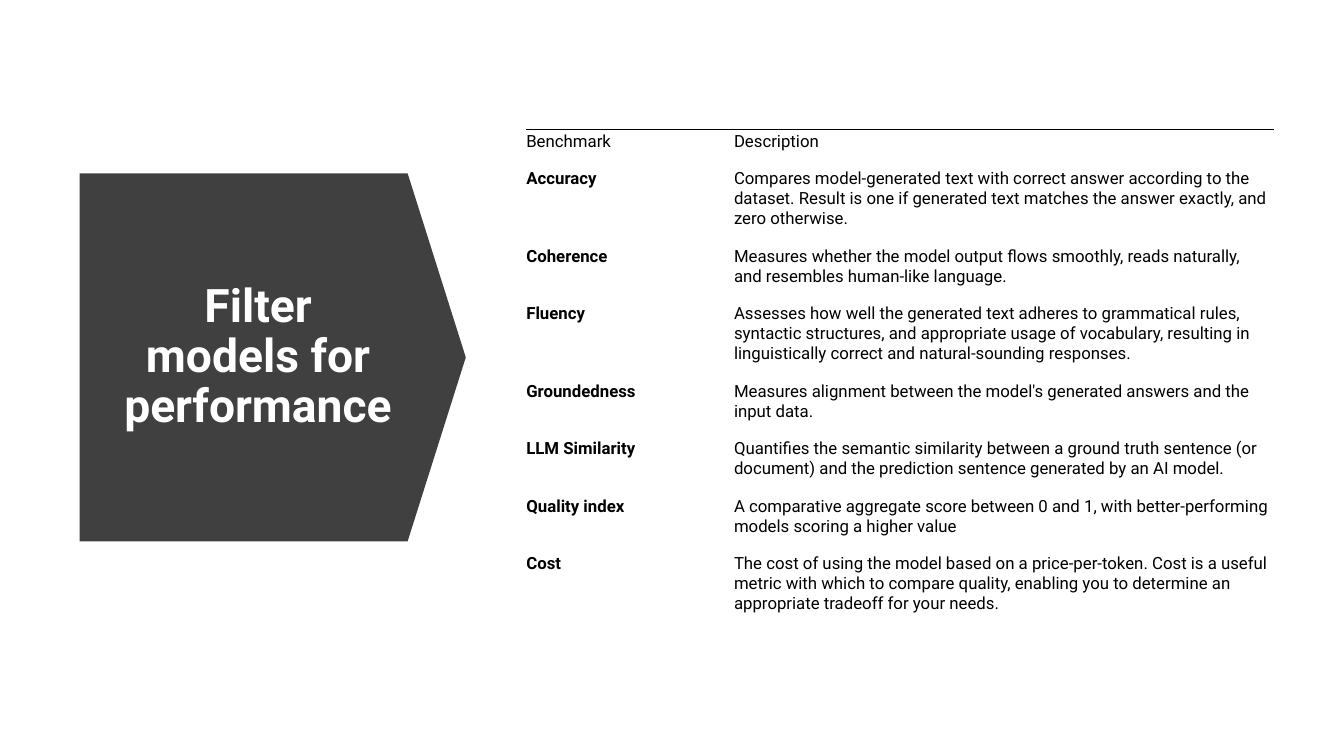
"""Build a slide that lists benchmarks for filtering models by performance."""
from lxml import etree
from pptx import Presentation
from pptx import util as u
from pptx.dml.color import RGBColor
from pptx.enum import shapes, text
from pptx.oxml import ns

PX = 9144
COLORS = {"panel": "404040", "title": "FFFFFF", "body": "000000"}
PLAIN_TABLE = "{2D5ABB26-0587-4C30-8999-92F81FD0307C}"
LINE_HEIGHT = 20
SINGLE_ROW = 37
BENCHMARKS = [
    ("Benchmark", "Description", 1),
    ("Accuracy", "Compares model-generated text with correct answer according to the dataset. "
     "Result is one if generated text matches the answer exactly, and zero otherwise.", 3),
    ("Coherence", "Measures whether the model output flows smoothly, reads naturally, "
     "and resembles human-like language.", 2),
    ("Fluency", "Assesses how well the generated text adheres to grammatical rules, "
     "syntactic structures, and appropriate usage of vocabulary, resulting in "
     "linguistically correct and natural-sounding responses.", 3),
    ("Groundedness", "Measures alignment between the model's generated answers "
     "and the input data.", 2),
    ("LLM Similarity", "Quantifies the semantic similarity between a ground truth sentence "
     "(or document) and the prediction sentence generated by an AI model.", 2),
    ("Quality index", "A comparative aggregate score between 0 and 1, "
     "with better-performing models scoring a higher value", 2),
    ("Cost", "The cost of using the model based on a price-per-token. Cost is a useful metric "
     "with which to compare quality, enabling you to determine an appropriate tradeoff "
     "for your needs.", 3),
]


def px(*lengths):
    return [u.Emu(length * PX) for length in lengths]


class SlideBuilder:
    font_name = "Roboto"

    def __init__(self, presentation):
        self.slide = presentation.slides.add_slide(presentation.slide_layouts[6])

    def color(self, name):
        return RGBColor.from_string(COLORS[name])

    def style(self, paragraph, size, color, bold):
        for run in paragraph.runs:
            run.font.name = self.font_name
            run.font.size = u.Pt(size)
            run.font.bold = bold
            run.font.color.rgb = self.color(color)

    def arrow_panel(self, *box):
        shape = self.slide.shapes.add_shape(shapes.MSO_SHAPE.DOWN_ARROW, *px(*box))
        shape.rotation = 270
        shape.adjustments[0] = 1
        shape.adjustments[1] = 0.158
        shape.shadow.inherit = False
        shape.fill.solid()
        shape.fill.fore_color.rgb = self.color("panel")
        shape.line.fill.background()

    def title(self, words, *box):
        text_frame = self.slide.shapes.add_textbox(*px(*box)).text_frame
        text_frame.word_wrap = True
        text_frame.vertical_anchor = text.MSO_ANCHOR.MIDDLE
        text_frame.text = words
        paragraph = text_frame.paragraphs[0]
        paragraph.alignment = text.PP_ALIGN.CENTER
        paragraph.line_spacing = 0.9
        self.style(paragraph, 33, "title", True)

    def top_border(self, cell):
        properties = cell._tc.get_or_add_tcPr()
        line = etree.Element(ns.qn("a:lnT"), w=str(u.Pt(0.75)))
        fill = etree.SubElement(line, ns.qn("a:solidFill"))
        etree.SubElement(fill, ns.qn("a:srgbClr"), val=COLORS["body"])
        properties.insert(0, line)

    def cell(self, cell, words, bold):
        cell.margin_left, cell.margin_top, cell.margin_right, cell.margin_bottom = px(0, 3, 5, 10)
        cell.fill.background()
        cell.text_frame.text = words
        self.style(cell.text_frame.paragraphs[0], 12, "body", bold)

    def table(self, rows, left, top, widths):
        heights = [SINGLE_ROW + LINE_HEIGHT * (lines - 1) for *_, lines in rows]
        frame = self.slide.shapes.add_table(
            len(rows), len(widths), *px(left, top, sum(widths), sum(heights)))
        table = frame.table
        table.first_row = table.horz_banding = False
        table._tbl.tblPr.find(ns.qn("a:tableStyleId")).text = PLAIN_TABLE
        for column, width in zip(table.columns, px(*widths)):
            column.width = width
        for index, (row, height) in enumerate(zip(table.rows, px(*heights))):
            row.height = height
            name, description, _ = rows[index]
            self.cell(row.cells[0], name, index > 0)
            self.cell(row.cells[1], description, False)
        for cell in table.rows[0].cells:
            self.top_border(cell)


def main():
    presentation = Presentation()
    presentation.slide_width, presentation.slide_height = px(1333, 750)
    builder = SlideBuilder(presentation)
    builder.arrow_panel(88, 163, 365, 383)
    builder.title("Filter models for performance", 112, 215, 288, 279)
    builder.table(BENCHMARKS, 522, 128, (206, 536))
    presentation.save("out.pptx")


if __name__ == "__main__":
    main()
